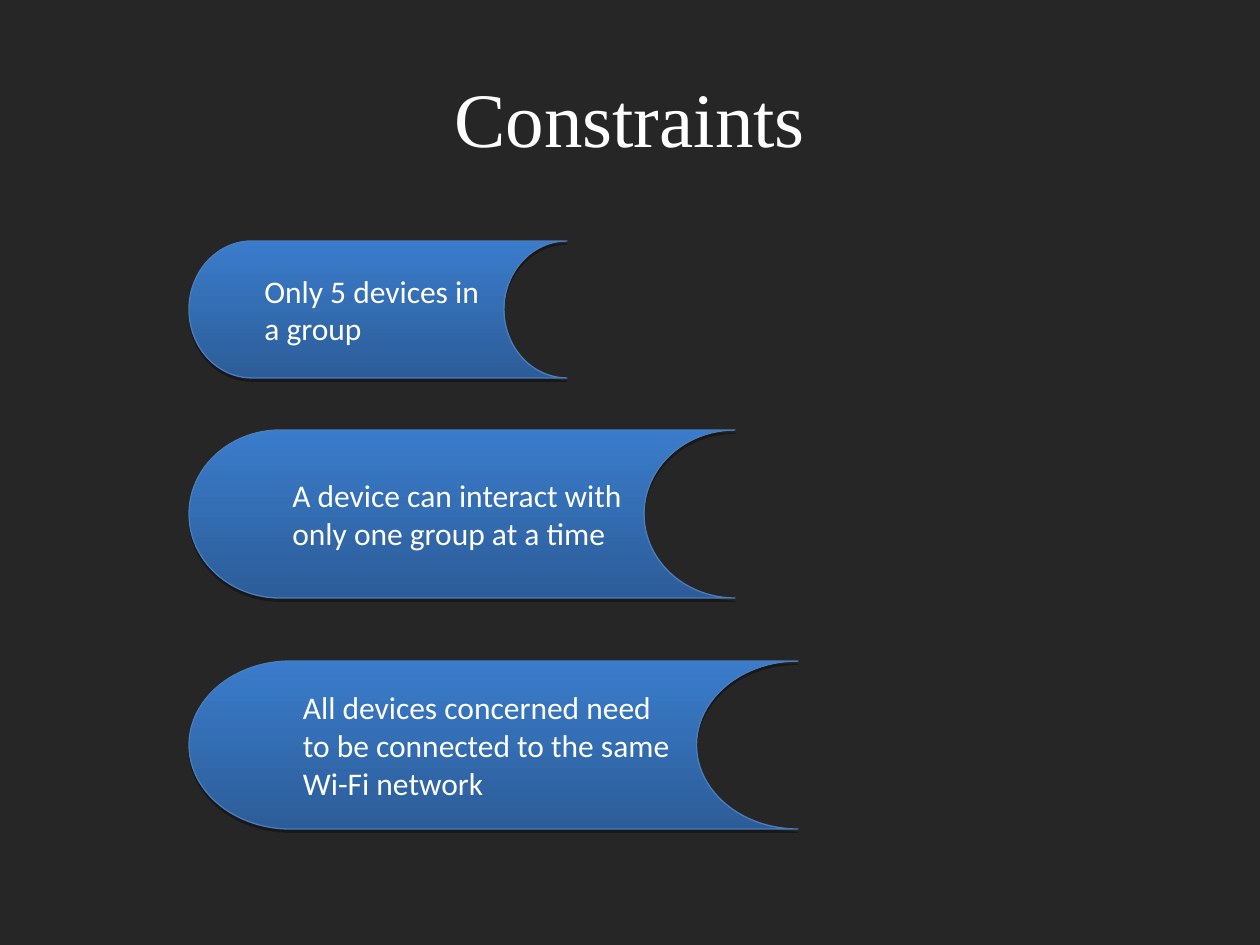
"""Build the Constraints slide with three gradient banners."""
from typing import NamedTuple

from lxml.etree import SubElement
from pptx import Presentation
from pptx.dml.color import RGBColor as RGB
from pptx.enum.shapes import MSO_SHAPE as SHAPE
from pptx.enum.text import MSO_ANCHOR as ANCHOR, PP_ALIGN as ALIGN
from pptx.oxml.ns import qn
from pptx.util import Emu, Pt

PX_PER_INCH = 126
COLORS = {
    "background": "262626",
    "text": "FFFFFF",
    "bottom": "2C5D98",
    "top": "3A7CCB",
    "outline": "4A7EBB",
    "shadow": "000000",
}
BANNER_LEFT = 189


class Banner(NamedTuple):
    top: int
    width: int
    height: int
    text: str


BANNERS = [
    Banner(241, 378, 137, "Only 5 devices in a group"),
    Banner(430, 546, 168, "A device can interact with only one group at a time"),
    Banner(661, 609, 168, "All devices concerned need to be connected to the same Wi-Fi network"),
]


def px(n: int) -> Emu:
    return Emu(round(n * 914400 / PX_PER_INCH))


def color(name: str) -> RGB:
    return RGB.from_string(COLORS[name])


def write(sp, text: str, font: str, size: int, align: ALIGN) -> None:
    tf = sp.text_frame
    tf.word_wrap = True
    tf.vertical_anchor = ANCHOR.MIDDLE
    p = tf.paragraphs[0]
    p.text = text
    p.alignment = align
    p.font.name = font
    p.font.size = Pt(size)
    p.font.color.rgb = color("text")


def add_shadow(sp) -> None:
    sp.shadow.inherit = False
    effects = sp._element.spPr.find(qn("a:effectLst"))
    shadow = SubElement(effects, qn("a:outerShdw"), blurRad="0",
                        dist=str(Pt(1.8)), dir="5400000", rotWithShape="0")
    rgb = SubElement(shadow, qn("a:srgbClr"), val=COLORS["shadow"])
    SubElement(rgb, qn("a:alpha"), val="35000")


def add_banner(s, banner: Banner) -> None:
    sp = s.shapes.add_shape(SHAPE.FLOWCHART_STORED_DATA, px(BANNER_LEFT),
                            px(banner.top), px(banner.width), px(banner.height))
    sp.fill.gradient()
    sp.fill.gradient_angle = 90
    for stop, position, name in zip(sp.fill.gradient_stops, (0, 1), ("bottom", "top")):
        stop.position = position
        stop.color.rgb = color(name)
    sp.line.color.rgb = color("outline")
    sp.line.width = Pt(0.75)
    add_shadow(sp)
    write(sp, banner.text, "Calibri", 18, ALIGN.LEFT)


def main() -> None:
    prs = Presentation()
    prs.slide_width, prs.slide_height = px(1260), px(945)
    s = prs.slides.add_slide(prs.slide_layouts[6])
    s.background.fill.solid()
    s.background.fill.fore_color.rgb = color("background")
    title = s.shapes.add_textbox(px(63), px(38), px(1134), px(158))
    write(title, "Constraints", "Times New Roman", 44, ALIGN.CENTER)
    for banner in BANNERS:
        add_banner(s, banner)
    prs.save("out.pptx")


if __name__ == "__main__":
    main()
